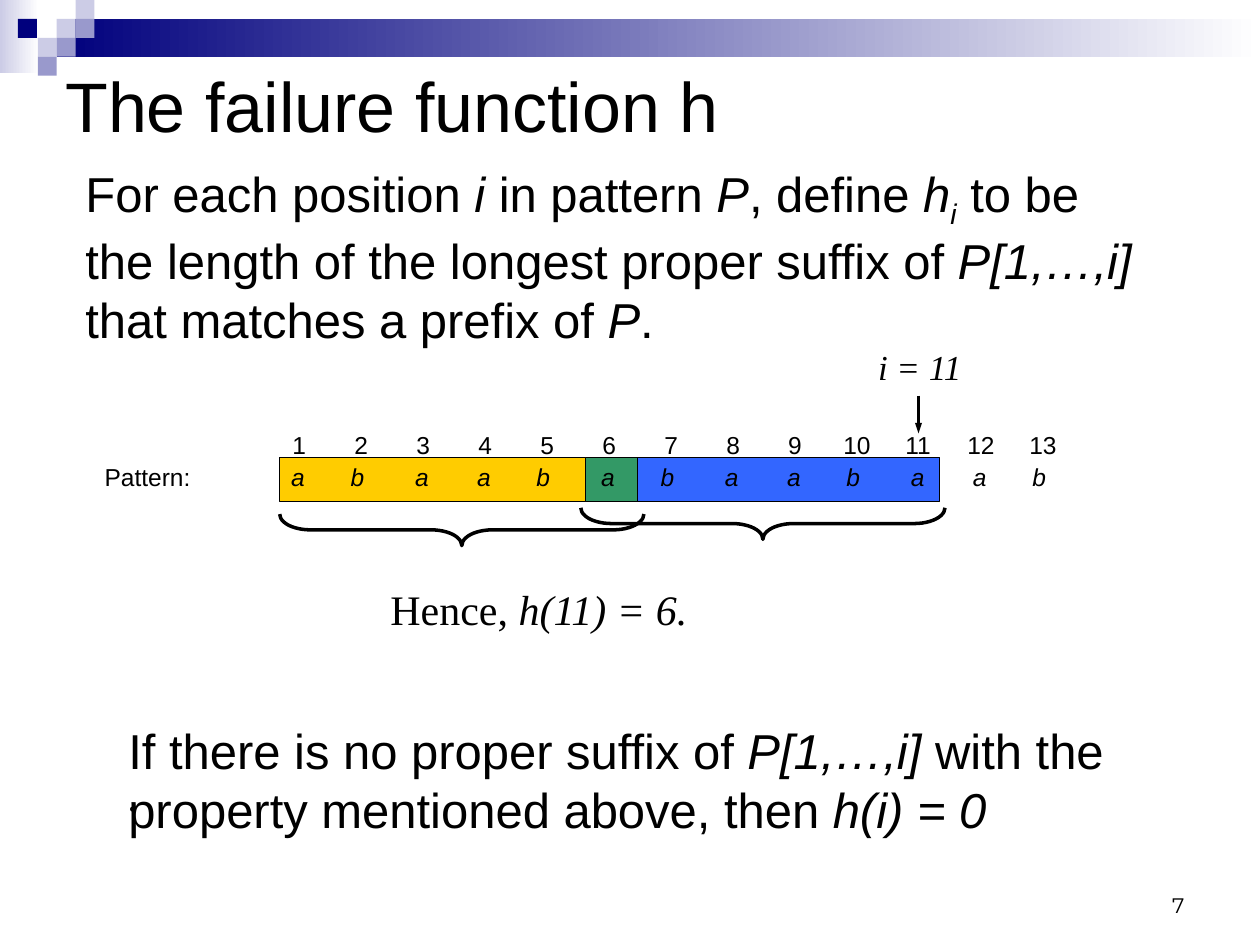
from lxml.etree import SubElement
from pptx import Presentation
from pptx.dml.color import RGBColor
from pptx.enum.shapes import MSO_CONNECTOR, MSO_SHAPE
from pptx.enum.text import MSO_ANCHOR, PP_ALIGN
from pptx.oxml.ns import qn
from pptx.util import Inches, Pt

COLUMNS, ROWS = 100, 75
PATTERN = "abaababaabaab"
FIRST_CENTRE, PITCH, DIGIT_WIDTH = 23.75, 4.92, 1.1
LETTER_SHIFT = {"a": -0.1, "b": -0.3}


def color(hex_string):
    return RGBColor.from_string(hex_string)


class SlideBuilder:
    """Draws on one slide; lengths are columns and rows of a 100 by 75 grid."""

    sans, serif, number_font = "Arial", "Times New Roman", "Montserrat"
    ink, navy, lilac, pale, white = "000000", "00007D", "9999CC", "CCCCE6", "FFFFFF"

    def __init__(self, presentation):
        self.slide = presentation.slides.add_slide(presentation.slide_layouts[6])
        self.column = presentation.slide_width / COLUMNS
        self.row = presentation.slide_height / ROWS

    def place(self, left, top, width, height):
        return (round(left * self.column), round(top * self.row),
                round(width * self.column), round(height * self.row))

    def preset(self, kind, box):
        shape = self.slide.shapes.add_shape(kind, *self.place(*box))
        shape.shadow.inherit = False
        return shape

    def outline(self, line, width):
        line.color.rgb = color(self.ink)
        line.width = Pt(width)

    def rectangle(self, box, fill, outlined=False):
        shape = self.preset(MSO_SHAPE.RECTANGLE, box)
        shape.fill.solid()
        shape.fill.fore_color.rgb = color(fill)
        if outlined:
            self.outline(shape.line, 0.75)
        else:
            shape.line.fill.background()
        return shape

    def gradient(self, box, start):
        """Fades from the start colour at the left to white at the right."""
        shape = self.rectangle(box, start)
        shape.fill.gradient()
        shape.fill.gradient_angle = 0
        for stop, value in zip(shape.fill.gradient_stops, (start, self.white)):
            stop.color.rgb = color(value)

    def brace_below(self, left, top, length, depth):
        """A left brace turned about its centre so that its tip points down."""
        box = (left + (length - depth) / 2, top - (length - depth) / 2, depth, length)
        shape = self.preset(MSO_SHAPE.LEFT_BRACE, box)
        shape.rotation = 270
        shape.adjustments[0] = 0.97
        shape.fill.background()
        self.outline(shape.line, 2)

    def arrow(self, column, top, bottom):
        x, y, _, length = self.place(column, top, 0, bottom - top)
        connector = self.slide.shapes.add_connector(
            MSO_CONNECTOR.STRAIGHT, x, y, x, y + length)
        self.outline(connector.line, 2)
        SubElement(connector.line._get_or_add_ln(), qn("a:tailEnd"),
                   type="triangle", w="sm")
        SubElement(connector._element.spPr, qn("a:effectLst"))

    def text(self, box, marked, size, font=None, italic=False, wrap=True, inset=True,
             anchor=MSO_ANCHOR.TOP, align=PP_ALIGN.LEFT):
        """Parts between asterisks are italic; a part led by _ is a subscript."""
        frame = self.slide.shapes.add_textbox(*self.place(*box)).text_frame
        frame.word_wrap = wrap
        frame.vertical_anchor = anchor
        if not inset:
            frame.margin_left = frame.margin_right = 0
            frame.margin_top = frame.margin_bottom = 0
        paragraph = frame.paragraphs[0]
        paragraph.alignment = align
        paragraph.font.name = font or self.sans
        paragraph.font.size = Pt(size)
        paragraph.font.color.rgb = color(self.ink)
        paragraph.font.italic = italic
        for index, part in enumerate(marked.split("*")):
            if not part:
                continue
            run = paragraph.add_run()
            run.text = part.removeprefix("_")
            if index % 2:
                run.font.italic = True
            if part.startswith("_"):
                run.font._element.set("baseline", "-25000")

    def label(self, centre, top, content, italic=False):
        width = DIGIT_WIDTH * len(content)
        self.text((centre - width / 2, top, width, 2.3), content, 14,
                  italic=italic, wrap=False, inset=False)


def draw_header(builder):
    builder.gradient((0, 0, 3.1, 5.8), builder.pale)
    builder.gradient((4.5, 1.5, 95.5, 3), builder.navy)
    tile = 1.5
    for column, row, fill in (
        (3, 1, builder.pale), (4, 0, builder.pale), (4, 1, builder.lilac),
        (2, 2, builder.pale), (0.95, 1, builder.navy), (3, 2, builder.lilac),
        (2, 3, builder.lilac),
    ):
        builder.rectangle((column * tile, row * tile, tile, tile), fill)


def draw_pattern(builder):
    for left, width, fill in ((46.5, 4.4, "339966"), (22.2, 24.3, "FFCC00"),
                              (50.6, 24, "3366FF")):
        builder.rectangle((left, 36.3, width, 3.5), fill, outlined=True)
    for left, top in ((22.2, 40.8), (46.1, 40.3)):
        builder.brace_below(left, top, 28.9, 2.5)
    builder.text((8.3, 36.7, 7.5, 2.3), "Pattern:", 14, wrap=False, inset=False)
    for index, letter in enumerate(PATTERN):
        centre = FIRST_CENTRE + index * PITCH
        builder.label(centre, 34.1, str(index + 1))
        builder.label(centre + LETTER_SHIFT[letter], 36.7, letter, italic=True)
    builder.text((68.7, 26.9, 8.8, 4.4), "i = 11", 20, builder.serif,
                 italic=True, wrap=False)
    builder.arrow(72.9, 31.4, 34.4)


def main():
    presentation = Presentation()
    presentation.slide_width, presentation.slide_height = Inches(10), Inches(7.5)
    builder = SlideBuilder(presentation)
    draw_header(builder)
    builder.text((4.2, 4.2, 89.2, 8.2), "The failure function h", 40,
                 anchor=MSO_ANCHOR.MIDDLE)
    builder.text((5.8, 12.5, 86.7, 15.7),
                 "For each position *i* in pattern *P*, define *h**_i* to be the length of "
                 "the longest proper suffix of *P[1,…,i]* that matches a prefix of *P*.", 28)
    draw_pattern(builder)
    builder.text((30, 45.8, 25.8, 5), "Hence, *h(11) = 6.*", 24, builder.serif, wrap=False)
    builder.text((9.2, 56.7, 85.3, 10.4),
                 "If there is no proper suffix of *P[1,…,i]* with the property "
                 "mentioned above, then *h(i) = 0*", 28)
    builder.text((9.2, 60.6, 2.8, 5), ".", 24, builder.serif, italic=True, wrap=False)
    builder.text((71.7, 68.3, 23.3, 5), "7", 12, builder.number_font,
                 anchor=MSO_ANCHOR.BOTTOM, align=PP_ALIGN.RIGHT)
    presentation.save("out.pptx")


if __name__ == "__main__":
    main()
